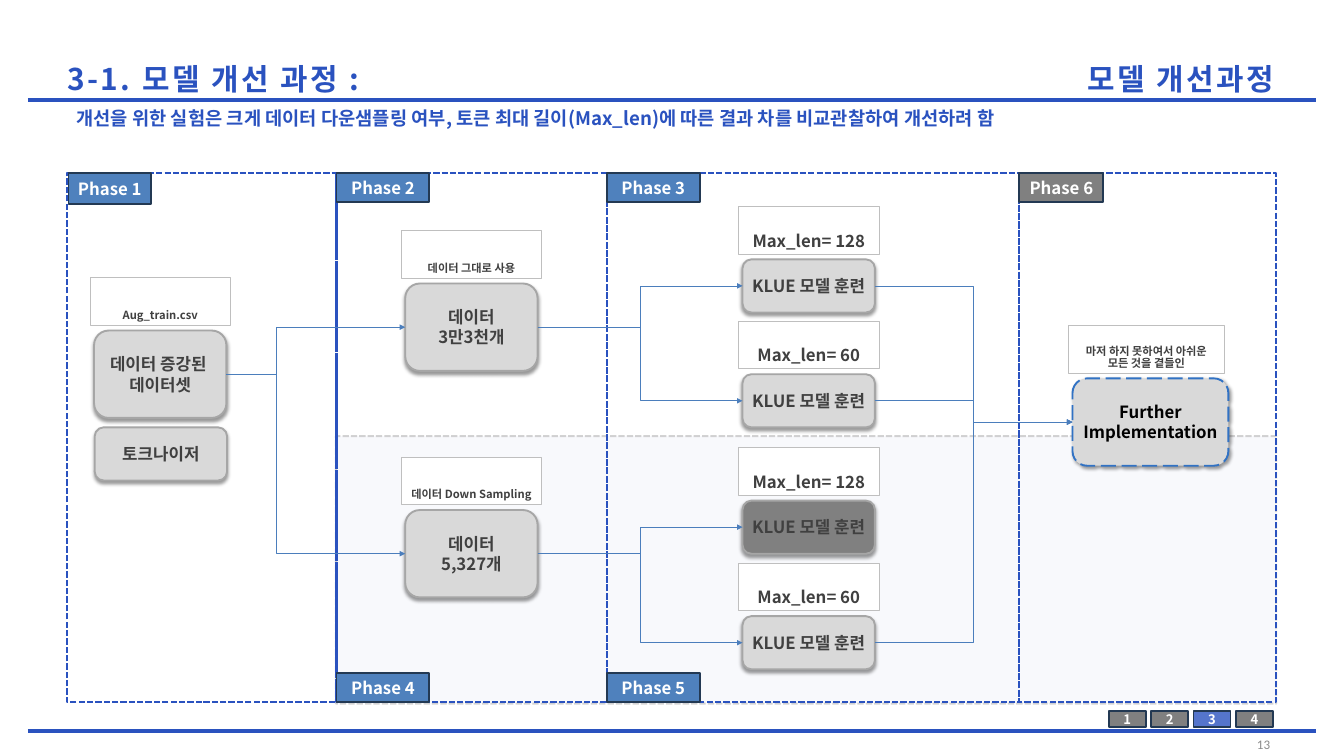
from lxml import etree
from pptx import Presentation
from pptx.dml.color import RGBColor
from pptx.enum.dml import MSO_LINE
from pptx.enum.shapes import MSO_CONNECTOR, MSO_SHAPE
from pptx.enum.text import MSO_ANCHOR, MSO_AUTO_SIZE, PP_ALIGN
from pptx.oxml import parse_xml
from pptx.oxml.ns import nsdecls, qn
from pptx.util import Pt

FONT = "Noto Sans CJK KR"
ROYAL = RGBColor(0x2A, 0x52, 0xBF)
BLUE = RGBColor(0x4F, 0x81, 0xBD)
NAVY = RGBColor(0x23, 0x39, 0x53)
ACTIVE = RGBColor(0x55, 0x75, 0xCC)
ARROW = RGBColor(0x4B, 0x7E, 0xBC)
DASH_BLUE = RGBColor(0x31, 0x72, 0xC4)
GREY = RGBColor(0x80, 0x80, 0x80)
LIGHT = RGBColor(0xD9, 0xD9, 0xD9)
EDGE = RGBColor(0xA6, 0xA6, 0xA6)
SILVER = RGBColor(0xA9, 0xA9, 0xA9)
PALE = RGBColor(0xBF, 0xBF, 0xBF)
PAGE_GREY = RGBColor(0x8C, 0x8C, 0x8C)
DARK = RGBColor(0x40, 0x40, 0x40)
BLACK = RGBColor(0, 0, 0)
WHITE = RGBColor(0xFF, 0xFF, 0xFF)


def write(sp, text, size, color, align=PP_ALIGN.CENTER, anchor=MSO_ANCHOR.MIDDLE,
          font=FONT, bold=True, spacing=None, tracking=0):
    """Fill a shape with text, one paragraph a line, in one format."""
    tf = sp.text_frame
    tf.word_wrap = True
    tf.auto_size = MSO_AUTO_SIZE.NONE
    tf.vertical_anchor = anchor
    tf.text = text
    for p in tf.paragraphs:
        p.alignment = align
        p.line_spacing = spacing
        f = p.font
        f.size, f.bold, f.name = Pt(size), bold, font
        f.color.rgb = color
        etree.SubElement(f._element, qn("a:ea"), typeface=font)
        if tracking:
            f._element.set("spc", str(tracking))


def box(x, y, w, h, fill, line, width, dash=None, kind=MSO_SHAPE.RECTANGLE):
    sp = s.shapes.add_shape(kind, Pt(x), Pt(y), Pt(w), Pt(h))
    sp.shadow.inherit = False
    if fill is None:
        sp.fill.background()
    else:
        sp.fill.solid()
        sp.fill.fore_color.rgb = fill
    sp.line.color.rgb = line
    sp.line.width = Pt(width)
    if dash:
        sp.line.dash_style = dash
    return sp


prs = Presentation()
prs.slide_width, prs.slide_height = Pt(1440), Pt(810)
s = prs.slides.add_slide(prs.slide_layouts[5])

# Rules above and below the content
for y in (107.3, 783.4):
    rule = s.shapes.add_connector(MSO_CONNECTOR.STRAIGHT, Pt(30), Pt(y), Pt(1410), Pt(y))
    rule.line.color.rgb = ROYAL
    rule.line.width = Pt(3.75)
    etree.SubElement(rule._element.spPr, qn("a:effectLst"))

# Shaded lower half
band = box(360, 467.3, 1007.3, 286.6, ROYAL, SILVER, 2.25, MSO_LINE.SQUARE_DOT)
for color, alpha in zip(band._element.spPr.iter(qn("a:srgbClr")), (3000, 50000)):
    etree.SubElement(color, qn("a:alpha"), val=str(alpha))

# Headings
title = s.shapes.title
title.left, title.top, title.width, title.height = Pt(72), Pt(64.8), Pt(648), Pt(38.9)
section = s.shapes.add_textbox(Pt(1077), Pt(64.8), Pt(288), Pt(38.9))
for sp, text, align in ((title, "3-1. 모델 개선 과정 :", PP_ALIGN.LEFT),
                        (section, "모델 개선과정", PP_ALIGN.RIGHT)):
    write(sp, text, 32, ROYAL, align, MSO_ANCHOR.BOTTOM, tracking=260)
    tf = sp.text_frame
    tf.margin_left = tf.margin_right = tf.margin_top = tf.margin_bottom = 0
subtitle = s.shapes.add_textbox(Pt(74.9), Pt(110.9), Pt(1289.5), Pt(28))
write(subtitle, "개선을 위한 실험은 크게 데이터 다운샘플링 여부, 토큰 최대 길이(Max_len)에 따른 "
      "결과 차를 비교관찰하여 개선하려 함", 20, ROYAL, PP_ALIGN.LEFT, MSO_ANCHOR.TOP)

# Phase columns and their tags
TOP, HEIGHT = 185.8, 566.6
edges = [72, 360.6, 650.2, 1092.2, 1367.3]
for left, right in zip(edges, edges[1:]):
    box(left, TOP, right - left, HEIGHT, None, ROYAL, 2.25, MSO_LINE.SQUARE_DOT)

LOW = TOP + HEIGHT - 31
for name, x, y, w, h, fill in (
        ("Phase 1", 73.4, TOP, 88.6, 32.4, BLUE),
        ("Phase 2", edges[1], TOP, 99.4, 31, BLUE),
        ("Phase 3", edges[2], TOP, 99.4, 31, BLUE),
        ("Phase 4", edges[1], LOW, 99.4, 31, BLUE),
        ("Phase 5", edges[2], LOW, 99.4, 31, BLUE),
        ("Phase 6", edges[3], TOP, 90, 31, GREY)):
    write(box(x, y, w, h, fill, NAVY, 2), name, 18, WHITE)

# Steps: key, left, top, width, height, text, caption, caption size
KLUE = "KLUE 모델 훈련"
steps = (
    ("dataset", 100.8, 354.2, 141.8, 93.6, "데이터 증강된 \v데이터셋", "Aug_train.csv", 12),
    ("tokenizer", 101.5, 457.9, 141.8, 56.9, "토크나이저", None, 0),
    ("full", 434.2, 303.8, 141.8, 93.6, "데이터\n3만3천개", "데이터 그대로 사용", 12),
    ("sampled", 434.2, 546.5, 141.8, 93.6, "데이터\n5,327개", "데이터 Down Sampling", 12),
    ("full128", 795.6, 277.9, 141.8, 56.9, KLUE, "Max_len= 128", 18),
    ("full60", 795.6, 401, 141.8, 56.9, KLUE, "Max_len= 60", 18),
    ("sampled128", 795.6, 536.4, 141.8, 56.9, KLUE, "Max_len= 128", 18),
    ("sampled60", 795.6, 660.2, 141.8, 56.9, KLUE, "Max_len= 60", 18),
    ("further", 1149.1, 405.4, 167, 93.6, "Further Implementation",
     "마저 하지 못하여서 아쉬운 모든 것을 곁들인", 12),
)
nodes = {}
for key, x, y, w, h, text, caption, size in steps:
    last = key == "further"
    sp = box(x, y, w, h, GREY if key == "sampled128" else LIGHT,
             DASH_BLUE if last else EDGE, 2, MSO_LINE.LONG_DASH if last else None,
             MSO_SHAPE.ROUNDED_RECTANGLE)
    sp._element.spPr.find(qn("a:effectLst")).append(parse_xml(
        f'<a:outerShdw {nsdecls("a")} blurRad="50800" dist="38100" '
        f'dir="{2700000 if last else 5400000}" algn="t" rotWithShape="0">'
        '<a:srgbClr val="000000"><a:alpha val="40000"/></a:srgbClr></a:outerShdw>'))
    write(sp, text, 18, BLACK if last else DARK)
    nodes[key] = sp
    if caption:
        label = box(x - 4.3, y - 56.9, w if last else w + 8.7, 51.1,
                    WHITE if key.startswith("sampled") else None, PALE, 0.75)
        write(label, caption, size, DARK, anchor=MSO_ANCHOR.BOTTOM, spacing=0.9)

# Arrows from the right side of one step to the left side of the next
for start, end, bend in (
        ("dataset", "full", 28100), ("dataset", "sampled", 28100),
        ("full", "full128", 50000), ("full", "full60", 50000),
        ("sampled", "sampled128", 50000), ("sampled", "sampled60", 50000),
        ("full128", "further", 50000), ("full60", "further", 50000),
        ("sampled60", "further", 50000)):
    a, b = nodes[start], nodes[end]
    arrow = s.shapes.add_connector(MSO_CONNECTOR.ELBOW, a.left + a.width, a.top + a.height // 2,
                                   b.left, b.top + b.height // 2)
    arrow.begin_connect(a, 3)
    arrow.end_connect(b, 1)
    arrow.line.color.rgb = ARROW
    arrow.line.width = Pt(0.75)
    spPr = arrow._element.spPr
    etree.SubElement(spPr.find(".//" + qn("a:avLst")), qn("a:gd"), name="adj1", fmla=f"val {bend}")
    etree.SubElement(spPr.find(qn("a:ln")), qn("a:tailEnd"), type="triangle")
    etree.SubElement(spPr, qn("a:effectLst"))

# Section markers and page number
for i in range(4):
    marker = box(1188 + 45.4 * i, 761.8, 39.6, 17.3, ACTIVE if i == 2 else GREY, NAVY, 2)
    write(marker, str(i + 1), 14, WHITE)
page = s.shapes.add_textbox(Pt(1200.2), Pt(787), Pt(167.8), Pt(20.2))
write(page, "13", 14, PAGE_GREY, PP_ALIGN.RIGHT, font="Calibri", bold=False)

prs.save("out.pptx")
